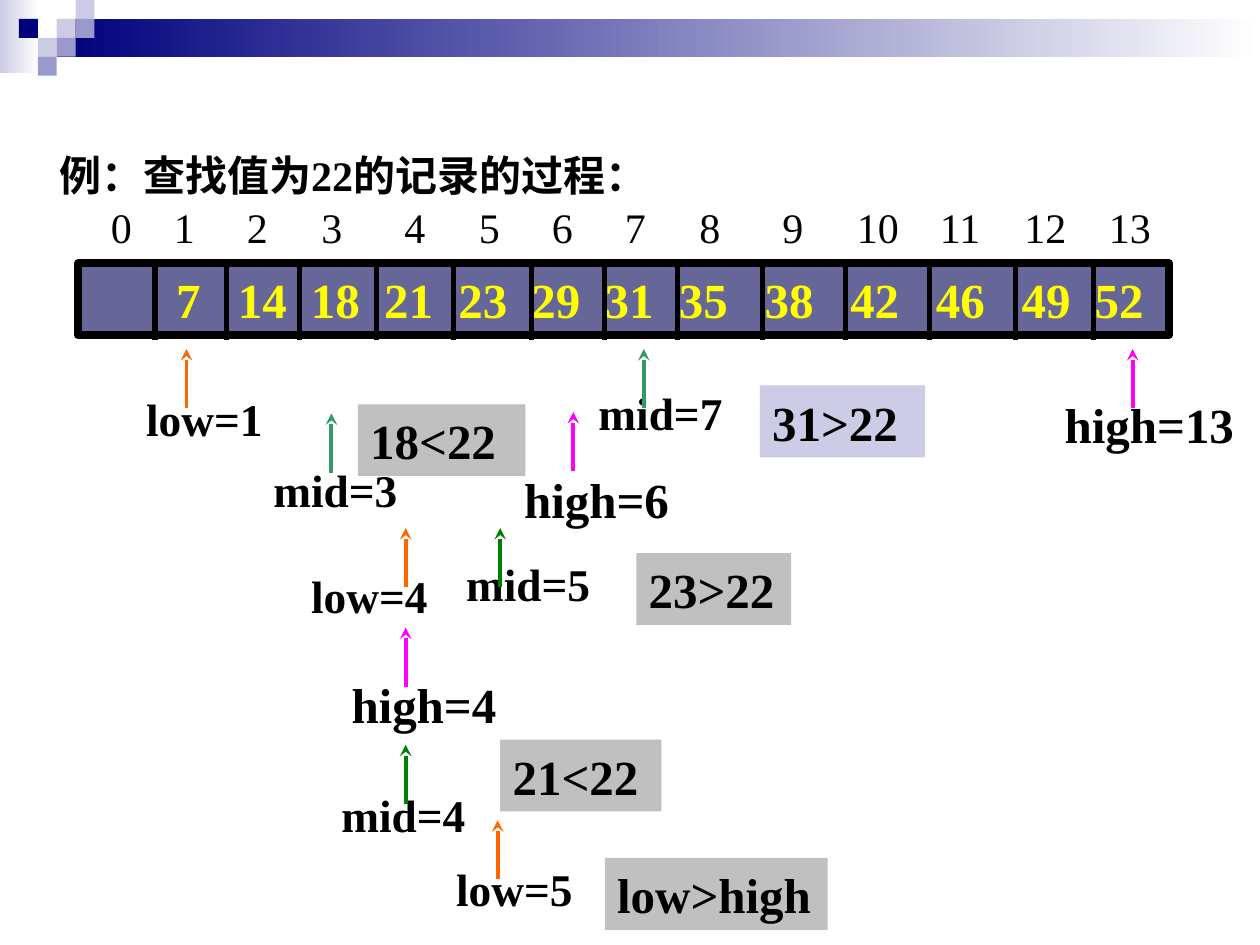
from lxml import etree
from pptx import Presentation
from pptx import util as u
from pptx.dml.color import RGBColor
from pptx.enum import shapes, text
from pptx.oxml.ns import qn

NAVY = RGBColor(0x00, 0x00, 0x7D)
LAVENDER = RGBColor(0xCC, 0xCC, 0xE6)
PERIWINKLE = RGBColor(0x99, 0x99, 0xCC)
SLATE = RGBColor(0x66, 0x66, 0x99)
SILVER = RGBColor(0xC0, 0xC0, 0xC0)
WHITE = RGBColor(0xFF, 0xFF, 0xFF)
BLACK = RGBColor(0x00, 0x00, 0x00)
YELLOW = RGBColor(0xFF, 0xFF, 0x00)
ORANGE = RGBColor(0xFF, 0x66, 0x00)
MAGENTA = RGBColor(0xFF, 0x00, 0xFF)
TEAL = RGBColor(0x33, 0x99, 0x66)
GREEN = RGBColor(0x00, 0x80, 0x00)

LATIN_FONT = "Times New Roman"
CJK_FONT = "Noto Sans CJK SC"
ARROW_LENGTH = 0.47


def write(shape, words, size=28, color=BLACK, bold=True, spacing=None, tabs=(),
          margins=(0, 0, 0, 0), anchor=text.MSO_ANCHOR.TOP):
    frame = shape.text_frame
    frame.auto_size = text.MSO_AUTO_SIZE.NONE
    frame.word_wrap = True
    frame.vertical_anchor = anchor
    (frame.margin_left, frame.margin_top,
     frame.margin_right, frame.margin_bottom) = map(u.Inches, margins)
    paragraph = frame.paragraphs[0]
    paragraph.alignment = text.PP_ALIGN.LEFT
    if spacing:
        paragraph.line_spacing = spacing
    run = paragraph.add_run()
    run.text = words
    font = run.font
    font.size, font.bold, font.name = u.Pt(size), bold, LATIN_FONT
    font.color.rgb = color
    etree.SubElement(font._element, qn("a:ea"), typeface=CJK_FONT)
    if tabs:
        tab_list = etree.SubElement(paragraph._p.get_or_add_pPr(), qn("a:tabLst"))
        for position in tabs:
            etree.SubElement(tab_list, qn("a:tab"), pos=str(u.Inches(position)), algn="l")


class SearchSlide:
    label_styles = {"low": (25.9, 0.7), "mid": (25.9, 0.6), "high": (28, 0.8)}
    box_margins = (0.1, 0.05, 0, 0.05)

    def __init__(self, presentation):
        self.slide = presentation.slides.add_slide(presentation.slide_layouts[5])

    def title(self, words, left, top, width, height):
        shape = self.slide.shapes.title
        shape.left, shape.top = u.Inches(left), u.Inches(top)
        shape.width, shape.height = u.Inches(width), u.Inches(height)
        write(shape, words, size=24, margins=(0.1, 0.05, 0.1, 0.05),
              anchor=text.MSO_ANCHOR.MIDDLE)

    def rectangle(self, left, top, width, height, color, fade=False, border=None):
        shape = self.slide.shapes.add_shape(
            shapes.MSO_SHAPE.RECTANGLE, *map(u.Inches, (left, top, width, height)))
        shape.shadow.inherit = False
        if fade:
            shape.fill.gradient()
            shape.fill.gradient_angle = 0
            for stop, stop_color in zip(shape.fill.gradient_stops, (color, WHITE)):
                stop.color.rgb = stop_color
        else:
            shape.fill.solid()
            shape.fill.fore_color.rgb = color
        if border:
            shape.line.color.rgb = BLACK
            shape.line.width = u.Pt(border)
        else:
            shape.line.fill.background()
        return shape

    def text_box(self, words, left, top, width, height, **style):
        shape = self.slide.shapes.add_textbox(*map(u.Inches, (left, top, width, height)))
        write(shape, words, **style)

    def line(self, x, start, end, color, width, arrow=False):
        connector = self.slide.shapes.add_connector(
            shapes.MSO_CONNECTOR.STRAIGHT, *map(u.Inches, (x, start, x, end)))
        connector.line.color.rgb = color
        connector.line.width = u.Pt(width)
        if arrow:
            etree.SubElement(connector.line._get_or_add_ln(), qn("a:tailEnd"), type="stealth")
        etree.SubElement(connector._element.spPr, qn("a:effectLst"))

    def pointer(self, words, left, top, color, arrow_x, arrow_tip):
        size, spacing = self.label_styles[words.split("=")[0]]
        self.text_box(words, left, top, 1.5, 0.4, size=size, spacing=spacing)
        self.line(arrow_x, arrow_tip + ARROW_LENGTH, arrow_tip, color, 2.25, arrow=True)

    def comparison(self, words, left, top, width, color=SILVER):
        shape = self.rectangle(left, top, width, 0.57, color)
        write(shape, words, margins=self.box_margins, anchor=text.MSO_ANCHOR.MIDDLE)


def main():
    presentation = Presentation()
    presentation.slide_width, presentation.slide_height = u.Inches(10), u.Inches(7.5)
    page = SearchSlide(presentation)

    # Header band and mosaic
    page.rectangle(0, 0, 0.31, 0.58, LAVENDER, fade=True)
    page.rectangle(0.45, 0.15, 9.55, 0.3, NAVY, fade=True)
    for column, row, color in [(2, 1, LAVENDER), (3, 0, LAVENDER), (3, 1, PERIWINKLE),
                               (1, 2, LAVENDER), (0, 1, NAVY), (2, 2, PERIWINKLE),
                               (1, 3, PERIWINKLE)]:
        page.rectangle(0.15 + 0.15 * column, 0.15 * row, 0.15, 0.15, color)

    page.title("例：查找值为22的记录的过程：", 0.37, 1.14, 8.58, 0.5)

    # Array: indices above, values inside, dividers between cells
    page.text_box("\t".join(str(index) for index in range(14)), 0.82, 1.6, 8.77, 0.42,
                  size=24, bold=False, margins=(0.06, 0, 0, 0),
                  tabs=[0.5, 1.08, 1.67, 2.33, 2.92, 3.5, 4.08, 4.67,
                        5.33, 5.92, 6.58, 7.25, 7.92])
    values = [7, 14, 18, 21, 23, 29, 31, 35, 38, 42, 46, 49, 52]
    array = page.rectangle(0.62, 2.09, 8.66, 0.57, SLATE, border=4.5)
    write(array, "".join(f"\t{value}" for value in values), color=YELLOW,
          margins=page.box_margins, anchor=text.MSO_ANCHOR.MIDDLE,
          tabs=[0.68, 1.17, 1.75, 2.33, 2.92, 3.5, 4.08, 4.67,
                5.35, 6.03, 6.71, 7.39, 7.97])
    for x in [1.23, 1.8, 2.38, 2.99, 3.6, 4.22, 4.8, 5.38, 6.05, 6.71, 7.38, 8.06, 8.68]:
        page.line(x, 2.11, 2.7, BLACK, 3)

    # Comparisons with the searched value
    page.comparison("31>22", 6.03, 3.06, 1.31, LAVENDER)
    page.comparison("18<22", 2.84, 3.21, 1.33)
    page.comparison("23>22", 5.05, 4.39, 1.23)
    page.comparison("21<22", 3.97, 5.87, 1.28)
    page.comparison("low>high", 4.8, 6.81, 1.77)

    # Pointers: label position, colour, arrow x and tip
    for pointer in [
        ("low=1", 1.16, 3.22, ORANGE, 1.48, 2.77),
        ("high=13", 8.45, 3.22, MAGENTA, 8.99, 2.77),
        ("mid=7", 4.75, 3.21, TEAL, 5.11, 2.77),
        ("high=6", 4.16, 3.82, MAGENTA, 4.55, 3.27),
        ("mid=3", 2.17, 3.82, TEAL, 2.63, 3.28),
        ("low=4", 2.47, 4.63, ORANGE, 3.22, 4.19),
        ("mid=5", 3.7, 4.57, GREEN, 3.97, 4.19),
        ("high=4", 2.79, 5.44, MAGENTA, 3.22, 4.98),
        ("mid=4", 2.71, 6.4, GREEN, 3.22, 5.91),
        ("low=5", 3.62, 6.95, ORANGE, 3.95, 6.51),
    ]:
        page.pointer(*pointer)

    presentation.save("out.pptx")


if __name__ == "__main__":
    main()
